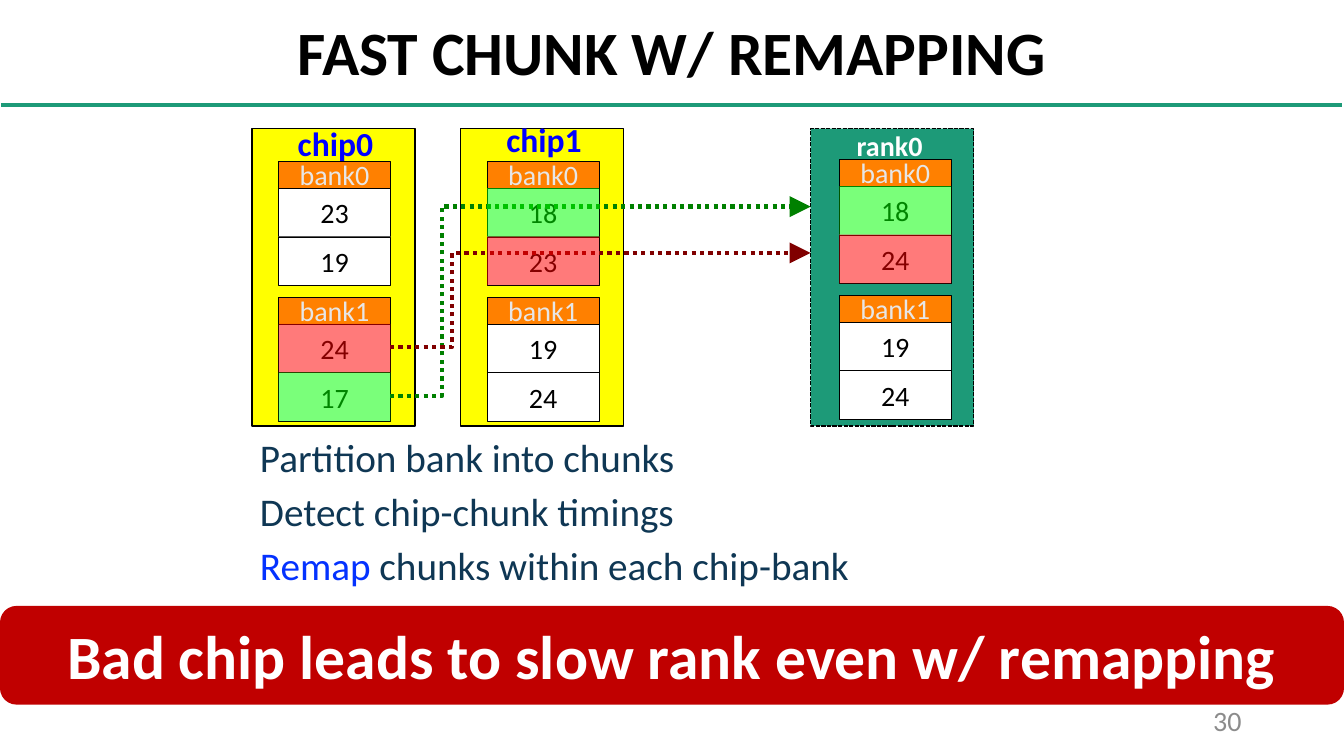
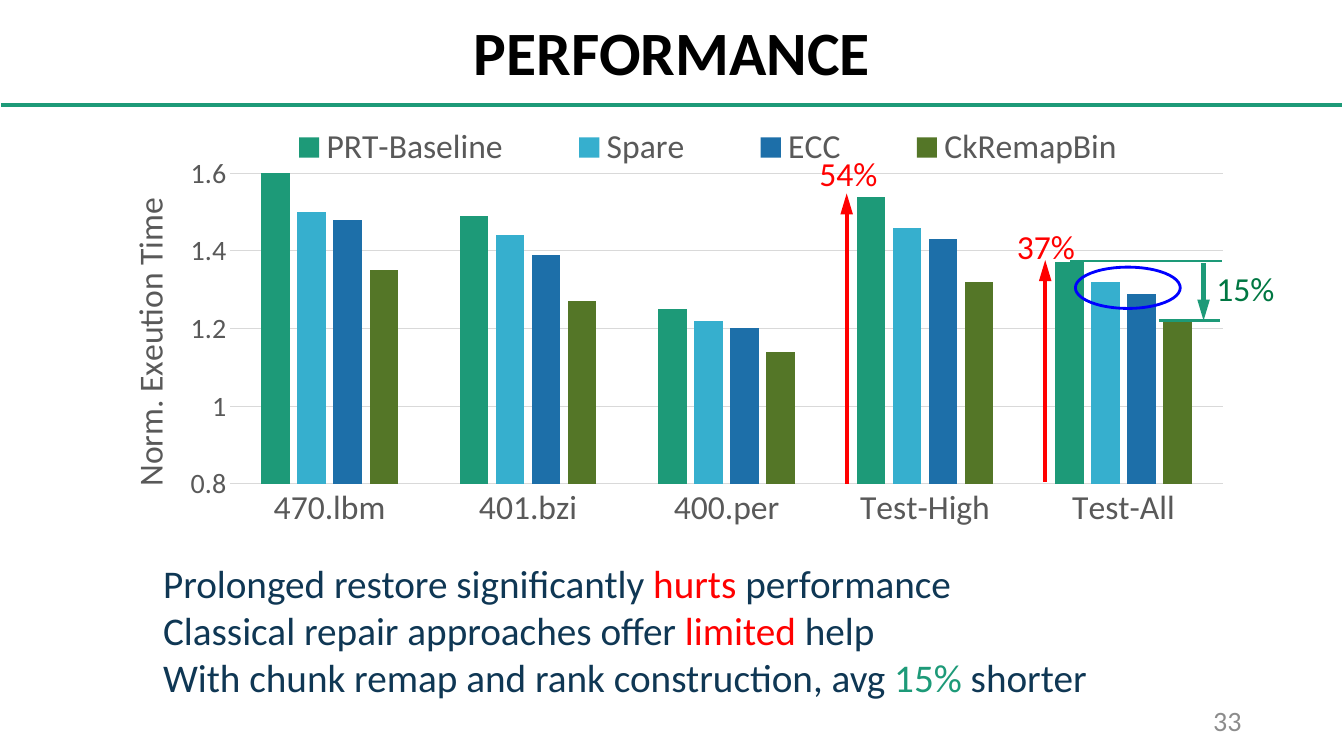
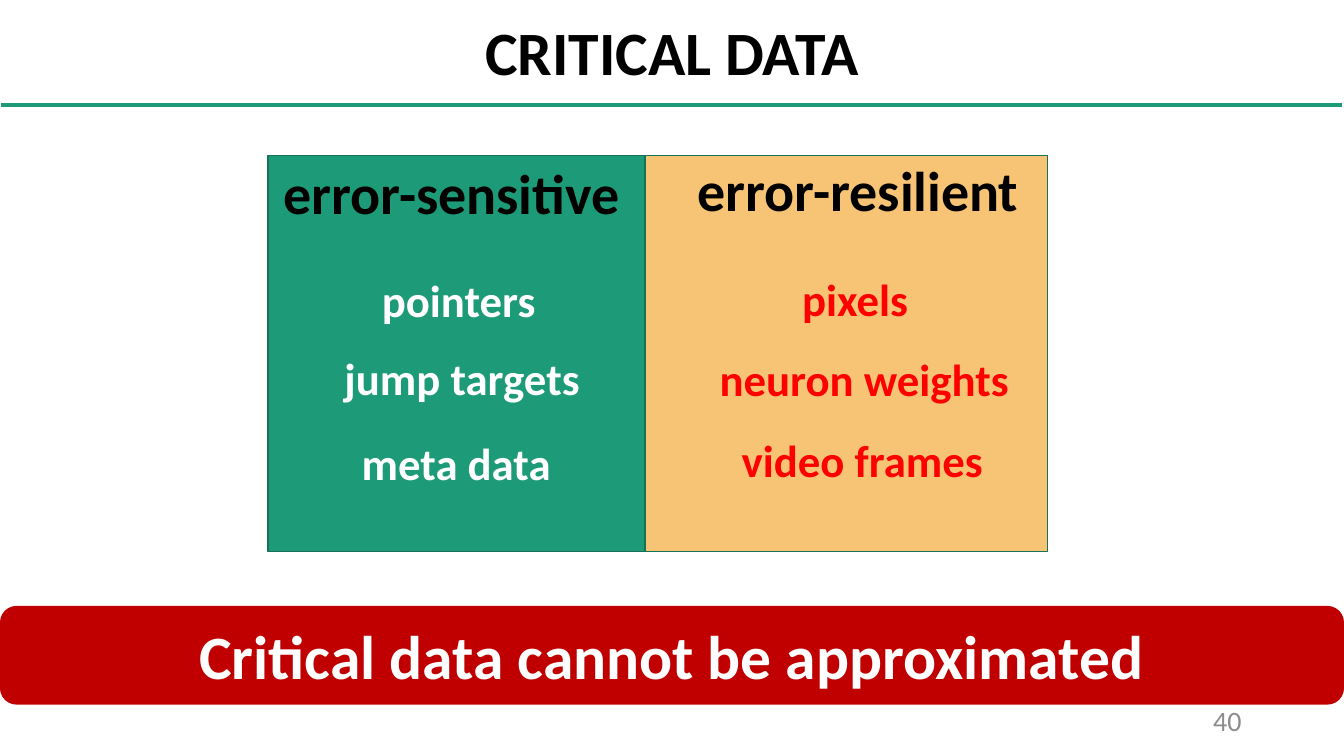
from dataclasses import dataclass
from typing import Optional

from lxml.etree import SubElement
from pptx import Presentation
from pptx.chart.data import CategoryChartData
from pptx.dml.color import RGBColor
from pptx.enum.chart import XL_CHART_TYPE as ChartType
from pptx.enum.chart import XL_LEGEND_POSITION as LegendPosition
from pptx.enum.chart import XL_TICK_MARK as TickMark
from pptx.enum.dml import MSO_LINE as Dash
from pptx.enum.shapes import MSO_CONNECTOR as Connector
from pptx.enum.shapes import MSO_SHAPE as Shape
from pptx.enum.text import MSO_ANCHOR as Anchor
from pptx.enum.text import MSO_AUTO_SIZE as AutoSize
from pptx.enum.text import PP_ALIGN as Align
from pptx.oxml.ns import qn
from pptx.util import Pt

FONT = "Calibri"
BLACK = RGBColor(0x00, 0x00, 0x00)
WHITE = RGBColor(0xFF, 0xFF, 0xFF)
TEAL = RGBColor(0x1D, 0x9A, 0x78)
DARK_TEAL = RGBColor(0x15, 0x72, 0x59)
NAVY = RGBColor(0x0F, 0x37, 0x54)
RED = RGBColor(0xFF, 0x00, 0x00)
CRIMSON = RGBColor(0xC0, 0x00, 0x00)
MAROON = RGBColor(0x80, 0x00, 0x00)
LIME = RGBColor(0x00, 0xFF, 0x00)
GREEN = RGBColor(0x00, 0x80, 0x00)
DEEP_GREEN = RGBColor(0x00, 0x77, 0x42)
YELLOW = RGBColor(0xFF, 0xFF, 0x00)
ORANGE = RGBColor(0xFF, 0x80, 0x00)
SAND = RGBColor(0xF7, 0xC4, 0x75)
BLUE = RGBColor(0x00, 0x00, 0xFF)
LINK_BLUE = RGBColor(0x04, 0x32, 0xFF)
SKY = RGBColor(0x36, 0xAF, 0xCE)
STEEL = RGBColor(0x1D, 0x6F, 0xA9)
OLIVE = RGBColor(0x54, 0x76, 0x27)
PALE_GRAY = RGBColor(0xE7, 0xE6, 0xE6)
GRID_GRAY = RGBColor(0xD9, 0xD9, 0xD9)
NUMBER_GRAY = RGBColor(0x8C, 0x8C, 0x8C)
CHART_GRAY = RGBColor(0x59, 0x59, 0x59)


@dataclass(frozen=True)
class Box:
    left: float
    top: float
    width: float
    height: float

    def lengths(self):
        return Pt(self.left), Pt(self.top), Pt(self.width), Pt(self.height)


@dataclass(frozen=True)
class Style:
    size: float
    color: RGBColor
    bold: bool = False
    align: Optional[Align] = None
    spacing: Optional[float] = None
    after: float = 0


@dataclass(frozen=True)
class Stroke:
    color: RGBColor
    width: float
    dash: Optional[Dash] = None


@dataclass(frozen=True)
class Label:
    text: str
    box: Box
    style: Style


@dataclass(frozen=True)
class Line:
    start: tuple[float, float]
    end: tuple[float, float]
    stroke: Stroke
    arrow: Optional[str] = None
    bend: Optional[float] = None
    arrow_width: str = "med"


@dataclass(frozen=True)
class Unit:
    label: Label
    frame: Box
    fill: RGBColor
    stroke: Stroke
    cell_left: float
    bank_top: float
    banks: tuple[tuple[str, str], ...]


@dataclass(frozen=True)
class Highlight:
    unit: Unit
    bank: int
    row: int
    color: RGBColor


TITLE = Style(44, BLACK, True, Align.CENTER, 0.9)
NUMBER = Style(20, NUMBER_GRAY, align=Align.RIGHT)
BANNER = Style(44, WHITE, True, Align.CENTER)
CELL = Style(20, BLACK, align=Align.CENTER)
BANK = Style(20, PALE_GRAY, align=Align.CENTER)
CHIP = Style(24, BLUE, True)
RANK = Style(20, WHITE, True)
HEADING = Style(40, BLACK, True)
SENSITIVE = Style(32, WHITE, True)
RESILIENT = Style(32, RED, True)
THIN = Stroke(BLACK, 0.25)
SOLID = Stroke(BLACK, 1)
PANEL_EDGE = Stroke(DARK_TEAL, 1)
CELL_WIDTH, HEADER_HEIGHT, ROW_HEIGHT, BANK_PITCH = 80, 19.2, 34.7, 97


def write(frame, rows, style: Style) -> None:
    for index, row in enumerate(rows):
        para = frame.paragraphs[0] if index == 0 else frame.add_paragraph()
        para.font.name = FONT
        para.font.size = Pt(style.size)
        para.font.bold = style.bold
        para.font.color.rgb = style.color
        para.alignment = style.align
        para.line_spacing = style.spacing
        para.space_after = Pt(style.after)
        for text, color in row:
            span = para.add_run()
            span.text = text
            if color is not None:
                span.font.color.rgb = color


def add_text(page, box: Box, rows, style: Style, anchor=Anchor.TOP, wrap=True) -> None:
    frame = page.shapes.add_textbox(*box.lengths()).text_frame
    frame.word_wrap = wrap
    frame.auto_size = AutoSize.NONE if wrap else AutoSize.SHAPE_TO_FIT_TEXT
    frame.vertical_anchor = anchor
    write(frame, rows, style)


def add_label(page, label: Label) -> None:
    add_text(page, label.box, [[(label.text, None)]], label.style, wrap=False)


def set_stroke(line, stroke: Stroke) -> None:
    line.color.rgb = stroke.color
    line.width = Pt(stroke.width)
    if stroke.dash is not None:
        line.dash_style = stroke.dash


def add_block(page, box: Box, fill: Optional[RGBColor], stroke: Optional[Stroke] = None,
              text: str = "", style: Style = CELL, kind=Shape.RECTANGLE):
    block = page.shapes.add_shape(kind, *box.lengths())
    block.shadow.inherit = False
    if fill is None:
        block.fill.background()
    else:
        block.fill.solid()
        block.fill.fore_color.rgb = fill
    if stroke is None:
        block.line.fill.background()
    else:
        set_stroke(block.line, stroke)
    if text:
        block.text_frame.word_wrap = True
        block.text_frame.vertical_anchor = Anchor.MIDDLE
        write(block.text_frame, [[(text, None)]], style)
    return block


def add_line(page, line: Line) -> None:
    kind = Connector.STRAIGHT if line.bend is None else Connector.ELBOW
    ends = [Pt(value) for value in (*line.start, *line.end)]
    connector = page.shapes.add_connector(kind, *ends)
    set_stroke(connector.line, line.stroke)
    properties = connector._element.spPr
    if line.arrow is not None:
        SubElement(properties.find(qn("a:ln")), qn(f"a:{line.arrow}"),
                   type="triangle", w=line.arrow_width, len="lg")
    if line.bend is not None:
        geometry = properties.find(qn("a:prstGeom"))
        guides = geometry.find(qn("a:avLst"))
        if guides is None:
            guides = SubElement(geometry, qn("a:avLst"))
        SubElement(guides, qn("a:gd"), name="adj1", fmla=f"val {round(line.bend * 100000)}")
    SubElement(properties, qn("a:effectLst"))


def add_page(deck, title: str, number: int):
    page = deck.slides.add_slide(deck.slide_layouts[6])
    add_line(page, Line((0.7, 75), (958.5, 75), Stroke(TEAL, 2.25)))
    add_text(page, Box(66, 5, 828, 69), [[(title, None)]], TITLE, Anchor.MIDDLE)
    add_text(page, Box(678, 500.4, 216, 28.8), [[(str(number), None)]], NUMBER, Anchor.MIDDLE)
    return page


def add_banner(page, text: str) -> None:
    add_block(page, Box(0, 432.8, 960, 70.5), CRIMSON, None, text, BANNER,
              Shape.ROUNDED_RECTANGLE)


def cell_box(unit: Unit, bank: int, row: int) -> Box:
    top = unit.bank_top + bank * BANK_PITCH + HEADER_HEIGHT + row * ROW_HEIGHT
    return Box(unit.cell_left, top, CELL_WIDTH, ROW_HEIGHT)


def add_unit(page, unit: Unit) -> None:
    add_block(page, unit.frame, unit.fill, unit.stroke)
    add_label(page, unit.label)
    for bank, values in enumerate(unit.banks):
        for row, value in enumerate(values):
            add_block(page, cell_box(unit, bank, row), WHITE, THIN, value, CELL)
        header = Box(unit.cell_left, unit.bank_top + bank * BANK_PITCH,
                     CELL_WIDTH, HEADER_HEIGHT)
        add_block(page, header, ORANGE, THIN, f"bank{bank}", BANK)


def add_highlight(page, mark: Highlight) -> None:
    block = add_block(page, cell_box(mark.unit, mark.bank, mark.row), mark.color)
    color = block._element.spPr.find(qn("a:solidFill"))[0]
    SubElement(color, qn("a:alpha"), val="52000")


def set_layout(element, index: int, inner: bool = False, **fractions: float) -> None:
    for old in element.findall(qn("c:layout")):
        element.remove(old)
    layout = SubElement(element, qn("c:layout"))
    element.insert(index, layout)
    manual = SubElement(layout, qn("c:manualLayout"))
    if inner:
        SubElement(manual, qn("c:layoutTarget"), val="inner")
    for axis in ("x", "y"):
        SubElement(manual, qn(f"c:{axis}Mode"), val="edge")
    for name, value in fractions.items():
        SubElement(manual, qn(f"c:{name}"), val=str(value))


def set_chart_font(font, size: float) -> None:
    font.name = FONT
    font.size = Pt(size)
    font.bold = False
    font.color.rgb = CHART_GRAY


def add_performance_chart(page) -> None:
    data = CategoryChartData()
    data.categories = ["470.lbm", "401.bzi", "400.per", "Test-High", "Test-All"]
    schemes = [
        ("PRT-Baseline", (1.6, 1.49, 1.25, 1.54, 1.37), TEAL),
        ("Spare", (1.5, 1.44, 1.22, 1.46, 1.32), SKY),
        ("ECC", (1.48, 1.39, 1.2, 1.43, 1.29), STEEL),
        ("CkRemapBin", (1.35, 1.27, 1.14, 1.32, 1.22), OLIVE),
    ]
    for name, values, _ in schemes:
        data.add_series(name, values)
    box = Box(86.4, 86.4, 806.4, 316.8)
    chart = page.shapes.add_chart(ChartType.COLUMN_CLUSTERED, *box.lengths(), data).chart
    set_chart_font(chart.font, 24)
    chart.has_title = False
    plot = chart.plots[0]
    plot.vary_by_categories = False
    plot.gap_width = 219
    plot.overlap = -27
    for series, (_, _, color) in zip(plot.series, schemes):
        series.format.fill.solid()
        series.format.fill.fore_color.rgb = color
    for axis, size in ((chart.category_axis, 24), (chart.value_axis, 20)):
        axis.major_tick_mark = TickMark.NONE
        axis.minor_tick_mark = TickMark.NONE
        set_chart_font(axis.tick_labels.font, size)
    hairline = Stroke(GRID_GRAY, 0.75)
    set_stroke(chart.category_axis.format.line, hairline)
    scale = chart.value_axis
    scale.minimum_scale, scale.maximum_scale, scale.major_unit = 0.8, 1.6, 0.2
    scale.format.line.fill.background()
    set_stroke(scale.major_gridlines.format.line, hairline)
    caption = scale.axis_title.text_frame
    caption.text = "Norm. Exeution Time"
    set_chart_font(caption.paragraphs[0].font, 24)
    title = scale.axis_title._element
    title.find(f".//{qn('a:bodyPr')}").set("rot", "-5400000")
    set_layout(title, 1, x=0, y=0.16)
    chart.has_legend = True
    chart.legend.position = LegendPosition.BOTTOM
    chart.legend.include_in_layout = False
    set_chart_font(chart.legend.font, 24)
    set_layout(chart.legend._element, 1, x=0.1, y=0.01, w=0.84, h=0.1)
    area = chart._chartSpace.find(f".//{qn('c:plotArea')}")
    set_layout(area, 0, True, x=0.097, y=0.118, w=0.879, h=0.7)


def build_remapping(deck) -> None:
    page = add_page(deck, "FAST CHUNK W/ REMAPPING", 30)
    rank = Unit(Label("rank0", Box(604.8, 88.6, 62, 31.7), RANK),
                Box(579, 91.8, 116.6, 212.4), TEAL, Stroke(BLACK, 1, Dash.SQUARE_DOT),
                599.5, 113.8, (("18", "24"), ("19", "24")))
    chips = [
        Unit(Label(f"chip{index}", Box(left + 25.6, label_top, 69, 36), CHIP),
             Box(left, 91.8, 116.6, 212.4), YELLOW, SOLID, left + 19, 115.2, banks)
        for index, (left, label_top, banks) in enumerate((
            (180, 84.2, (("23", "19"), ("24", "17"))),
            (329, 81.4, (("18", "23"), ("19", "24"))),
        ))
    ]
    for unit in (rank, *chips):
        add_unit(page, unit)
    add_banner(page, "Bad chip leads to slow rank even w/ remapping")
    add_text(page, Box(178.6, 306, 649.4, 116), [
        [("Partition bank into chunks", None)],
        [("Detect chip-chunk timings", None)],
        [("Remap", LINK_BLUE), (" chunks within each chip-bank", None)],
    ], Style(28, NAVY, after=5))
    routes = (
        (283, 147.6, 0.123, GREEN, LIME, 1, 0),
        (247.7, 180.7, 0.148, MAROON, RED, 0, 1),
    )
    for start, end, bend, color, tint, source_row, target_row in routes:
        add_line(page, Line((278.6, start), (579, end), Stroke(color, 3, Dash.ROUND_DOT),
                            "tailEnd", bend, "lg"))
        add_highlight(page, Highlight(chips[0], 1, source_row, tint))
        for unit in (chips[1], rank):
            add_highlight(page, Highlight(unit, 0, target_row, tint))


def build_performance(deck) -> None:
    page = add_page(deck, "PERFORMANCE", 33)
    add_performance_chart(page)
    add_text(page, Box(109.4, 396, 750.2, 119.5), [
        [("Prolonged restore significantly ", None), ("hurts", RED), (" performance", None)],
        [("Classical repair approaches offer ", None), ("limited", RED), (" help", None)],
        [("With chunk remap and rank construction, avg ", None), ("15%", TEAL),
         (" shorter", None)],
    ], Style(28, NAVY))
    for line in (
        Line((604.8, 138.2), (604.8, 345.6), Stroke(RED, 3), "headEnd"),
        Line((746.6, 185.8), (746.6, 344.2), Stroke(RED, 3), "headEnd"),
        Line((859.7, 229), (859.7, 187.9), Stroke(TEAL, 3), "headEnd"),
        Line((764.6, 186.5), (872.6, 186.5), Stroke(TEAL, 2)),
        Line((828, 229), (871.2, 229), Stroke(TEAL, 2)),
    ):
        add_line(page, line)
    for text, left, top, color in (
        ("54%", 578.2, 105.8, RED),
        ("37%", 719.3, 157.7, RED),
        ("15%", 861.8, 187.9, DEEP_GREEN),
    ):
        add_label(page, Label(text, Box(left, top, 56.2, 36), Style(24, color)))
    add_block(page, Box(768.2, 190.8, 74.9, 29.5), None, Stroke(BLUE, 2), kind=Shape.OVAL)


def build_critical_data(deck) -> None:
    page = add_page(deck, "CRITICAL DATA", 40)
    add_block(page, Box(191.5, 110.9, 269.3, 283), TEAL, PANEL_EDGE)
    add_block(page, Box(460.8, 110.9, 287.3, 283), SAND, PANEL_EDGE)
    for label in (
        Label("pointers", Box(265.7, 191.5, 125.3, 46), SENSITIVE),
        Label("jump targets", Box(239, 247, 184.3, 46), SENSITIVE),
        Label("meta data", Box(251.3, 307.4, 150.5, 46), SENSITIVE),
        Label("pixels", Box(565.9, 190.8, 90.7, 46), RESILIENT),
        Label("neuron weights", Box(506.9, 247.7, 223.2, 46), RESILIENT),
        Label("video frames", Box(522.7, 305.3, 188.6, 46), RESILIENT),
        Label("error-sensitive", Box(195.1, 109.4, 258.5, 55.4), HEADING),
        Label("error-resilient", Box(491, 107.3, 247, 55.4), HEADING),
    ):
        add_label(page, label)
    add_banner(page, "Critical data cannot be approximated")


def main() -> None:
    deck = Presentation()
    deck.slide_width, deck.slide_height = Pt(960), Pt(540)
    build_remapping(deck)
    build_performance(deck)
    build_critical_data(deck)
    deck.save("out.pptx")


main()
